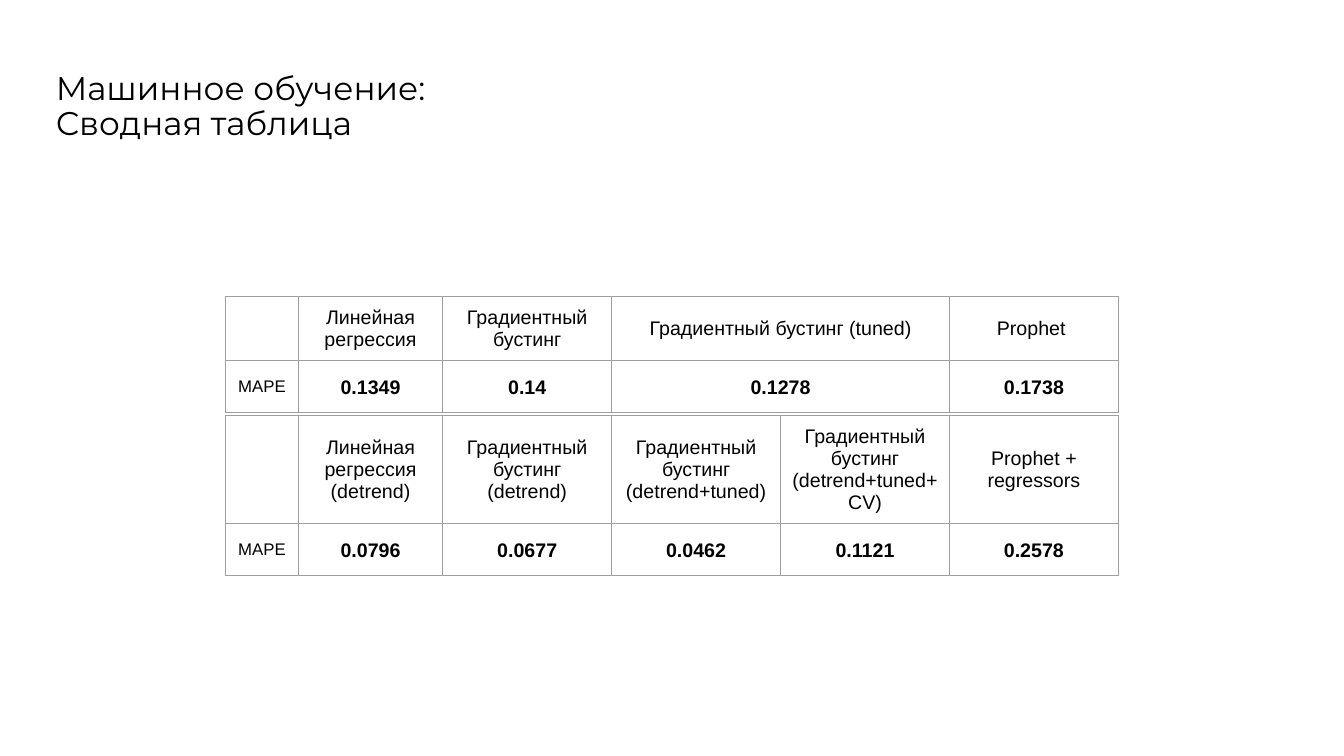
from dataclasses import dataclass

from lxml.etree import SubElement
from pptx import Presentation
from pptx.dml.color import RGBColor
from pptx.enum.text import MSO_ANCHOR, MSO_AUTO_SIZE, PP_ALIGN
from pptx.oxml.ns import qn
from pptx.util import Inches, Pt


@dataclass(frozen=True)
class Theme:
    ink: str = "000000"
    rule: str = "9E9E9E"
    rule_width: float = 0.75
    title_font: str = "Montserrat"
    body_font: str = "Arial"
    title_size: float = 23.4
    body_size: float = 14
    label_size: float = 12


def write(frame, text, font, size, color, bold=False,
          align=PP_ALIGN.CENTER, spacing=1.0):
    """Fill a text frame, one paragraph for each line of text."""
    frame.text = text
    for paragraph in frame.paragraphs:
        paragraph.alignment = align
        paragraph.line_spacing = spacing
        for run in paragraph.runs:
            run.font.name = font
            run.font.size = Pt(size)
            run.font.bold = bold
            run.font.color.rgb = RGBColor.from_string(color)


class SlideBuilder:
    """Places elements by percent of the slide's width and height."""

    def __init__(self, deck, theme):
        self.deck = deck
        self.theme = theme
        self.slide = deck.slides.add_slide(deck.slide_layouts[5])

    def across(self, percent):
        return round(self.deck.slide_width * percent / 100)

    def down(self, percent):
        return round(self.deck.slide_height * percent / 100)

    def title(self, text, left, top, width, height):
        title = self.slide.shapes.title
        title.left, title.width = self.across(left), self.across(width)
        title.top, title.height = self.down(top), self.down(height)
        frame = title.text_frame
        frame.auto_size = MSO_AUTO_SIZE.NONE
        frame.vertical_anchor = MSO_ANCHOR.MIDDLE
        write(frame, text, self.theme.title_font, self.theme.title_size,
              self.theme.ink, align=PP_ALIGN.LEFT, spacing=0.9)

    def border(self, cell):
        properties = cell._tc.get_or_add_tcPr()
        for side in ("a:lnL", "a:lnR", "a:lnT", "a:lnB"):
            line = SubElement(properties, qn(side), w=str(Pt(self.theme.rule_width)))
            fill = SubElement(line, qn("a:solidFill"))
            SubElement(fill, qn("a:srgbClr"), val=self.theme.rule)

    def cell(self, cell, text, **style):
        self.border(cell)
        cell.fill.background()
        cell.vertical_anchor = MSO_ANCHOR.MIDDLE
        cell.margin_left = cell.margin_right = Inches(0.1)
        cell.margin_top = cell.margin_bottom = Inches(0.1)
        if text:
            write(cell.text_frame, text, self.theme.body_font,
                  color=self.theme.ink, **style)

    def score_table(self, left, top, widths, heights, scores):
        """Draw a row of model names above a row of their MAPE scores."""
        table = self.slide.shapes.add_table(
            2, len(widths), self.across(left), self.down(top),
            self.across(sum(widths)), self.down(sum(heights))).table
        table.first_row = table.horz_banding = False
        for column, width in zip(table.columns, widths):
            column.width = self.across(width)
        for row, height in zip(table.rows, heights):
            row.height = self.down(height)
        size = self.theme.body_size
        self.cell(table.cell(0, 0), "")
        self.cell(table.cell(1, 0), "MAPE", size=self.theme.label_size)
        for index, (model, score) in enumerate(scores, start=1):
            self.cell(table.cell(0, index), model, size=size)
            self.cell(table.cell(1, index), score, size=size, bold=True, spacing=1.11)


LABEL, NARROW, WIDE = 5.4, 10.75, 12.57
TABLE_LEFT = 16.8
SCORE_ROW = 6.85

BASE_SCORES = [
    ("Линейная регрессия", "0.1349"),
    ("Градиентный бустинг", "0.14"),
    ("Градиентный бустинг (tuned)", "0.1278"),
    ("Prophet ", "0.1738"),
]
DETREND_SCORES = [
    ("Линейная регрессия (detrend)", "0.0796"),
    ("Градиентный бустинг\n(detrend)", "0.0677"),
    ("Градиентный бустинг (detrend+tuned)", "0.0462"),
    ("Градиентный бустинг (detrend+tuned+CV)", "0.1121"),
    ("Prophet + regressors", "0.2578"),
]


def main():
    deck = Presentation()
    deck.slide_width, deck.slide_height = Inches(13.33), Inches(7.5)
    page = SlideBuilder(deck, Theme())
    page.title("Машинное обучение:\nСводная таблица", 3.4, 8.7, 93.2, 11)
    page.score_table(TABLE_LEFT, 54.93, [LABEL, NARROW] + [WIDE] * 4,
                     [14.2, SCORE_ROW], DETREND_SCORES)
    page.score_table(TABLE_LEFT, 39.2, [LABEL, NARROW, WIDE, 2 * WIDE, WIDE],
                     [8.5, SCORE_ROW], BASE_SCORES)
    deck.save("out.pptx")


if __name__ == "__main__":
    main()
